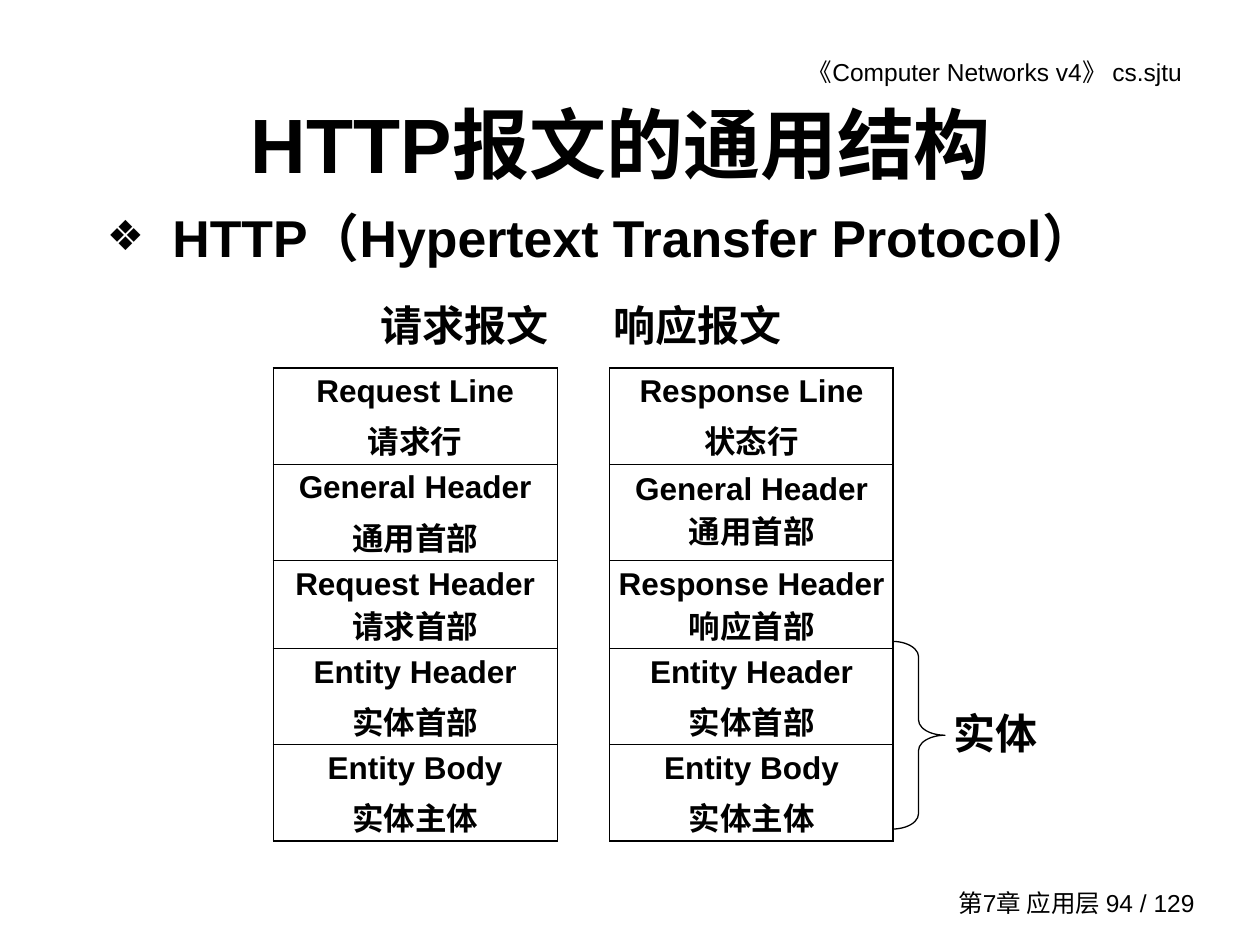
from dataclasses import dataclass

from lxml import etree
from pptx import Presentation
from pptx.dml.color import RGBColor
from pptx.enum import shapes, text
from pptx.oxml import ns
from pptx.util import Inches, Pt


@dataclass(frozen=True)
class Theme:
    ink: RGBColor = RGBColor(0, 0, 0)
    latin: str = "Arial"
    chinese: str = "Noto Sans CJK SC"
    title: float = 44
    body: float = 29.6
    label: float = 24
    cell: float = 18
    small: float = 14
    outer: float = 1.08
    inner: float = 0.45
    brace: float = 0.75


THEME = Theme()
ALIGN = text.PP_ALIGN
PLAIN_TABLE = "{2D5ABB26-0587-4C30-8999-92F81FD0307C}"

# Request part, response part, and the space between their two lines
MESSAGE_PARTS = [
    (("Request Line", "请求行", 4.5), ("Response Line", "状态行", 4.5)),
    (("General Header", "通用首部", 4.5), ("General Header", "通用首部", 0)),
    (("Request Header", "请求首部", 0), ("Response Header", "响应首部", 0)),
    (("Entity Header", "实体首部", 4.5), ("Entity Header", "实体首部", 4.5)),
    (("Entity Body", "实体主体", 4.5), ("Entity Body", "实体主体", 4.5)),
]
ROW_HEIGHTS = [0.75, 0.75, 0.68, 0.75, 0.75]
COLUMN_WIDTHS = [2.25, 0.42, 2.25]


def add_xml(parent, tag, **attributes):
    return etree.SubElement(parent, ns.qn(tag), attributes)


def style(paragraph, size, bold=True, latin=THEME.latin):
    font = paragraph.font
    font.size, font.bold, font.name = Pt(size), bold, latin
    font.color.rgb = THEME.ink
    add_xml(font._element, "a:ea", typeface=THEME.chinese)


def add_text(slide, box, words, size, align=ALIGN.LEFT, bold=True,
             anchor=text.MSO_ANCHOR.TOP, latin=THEME.latin):
    """Place one line of text and return its frame."""
    frame = slide.shapes.add_textbox(*map(Inches, box)).text_frame
    frame.word_wrap = True
    frame.vertical_anchor = anchor
    line = frame.paragraphs[0]
    line.text, line.alignment = words, align
    style(line, size, bold, latin)
    return frame


def add_running_header(slide, box):
    frame = add_text(slide, box, "《Computer Networks v4》 cs.sjtu",
                     THEME.small, ALIGN.RIGHT, bold=False)
    frame.margin_right = Inches(0.21)


def add_footer(slide, box):
    add_text(slide, box, "第7章 应用层 94 / 129", THEME.small, ALIGN.RIGHT,
             bold=False, anchor=text.MSO_ANCHOR.MIDDLE)


def add_title(slide, box):
    add_text(slide, box, "HTTP报文的通用结构 ", THEME.title, ALIGN.CENTER,
             anchor=text.MSO_ANCHOR.MIDDLE)


def add_bullet_line(slide, box):
    frame = slide.shapes.add_textbox(*map(Inches, box)).text_frame
    frame.word_wrap = True
    line = frame.paragraphs[0]
    line.text = "HTTP（Hypertext Transfer Protocol）"
    properties = line._p.get_or_add_pPr()
    indent = Inches(0.52)
    properties.set("marL", str(indent))
    properties.set("indent", str(-indent))
    add_xml(properties, "a:buSzPct", val="80000")
    add_xml(properties, "a:buFont", typeface=THEME.latin)
    add_xml(properties, "a:buChar", char="❖")
    style(line, THEME.body)


def add_message_headings(slide, box):
    """Two headings on one line, the second at a tab stop."""
    frame = add_text(slide, box, "", THEME.label)
    frame.margin_left = Inches(0.8)
    line = frame.paragraphs[0]
    line.text = "请求报文\t响应报文"
    properties = line._p.get_or_add_pPr()
    stops = etree.Element(ns.qn("a:tabLst"))
    add_xml(stops, "a:tab", pos=str(Inches(1.85)), algn="l")
    properties.insert(0, stops)
    line.font.name = THEME.chinese


def set_borders(cell, widths):
    """Draw the sides given as left, right, top, bottom; None hides one."""
    properties = cell._tc.get_or_add_tcPr()
    for position, (side, width) in enumerate(zip("LRTB", widths)):
        border = etree.Element(ns.qn(f"a:ln{side}"))
        if width is None:
            add_xml(border, "a:noFill")
        else:
            border.set("w", str(Pt(width)))
            fill = add_xml(border, "a:solidFill")
            add_xml(fill, "a:srgbClr", val=str(THEME.ink))
        properties.insert(position, border)


def fill_cell(cell, english, chinese, gap):
    cell.vertical_anchor = text.MSO_ANCHOR.MIDDLE
    cell.margin_left = cell.margin_right = Inches(0.04)
    frame = cell.text_frame
    frame.text = f"{english}\n{chinese}"
    for line in frame.paragraphs:
        line.alignment = ALIGN.CENTER
        style(line, THEME.cell)
    if gap:
        frame.paragraphs[1].space_before = Pt(gap)


def add_message_table(slide, box):
    table_frame = slide.shapes.add_table(
        len(ROW_HEIGHTS), len(COLUMN_WIDTHS), *map(Inches, box))
    table = table_frame.table
    table.first_row = table.horz_banding = False
    table._tbl.tblPr.find(ns.qn("a:tableStyleId")).text = PLAIN_TABLE
    for column, width in zip(table.columns, COLUMN_WIDTHS):
        column.width = Inches(width)
    last = len(MESSAGE_PARTS) - 1
    for index, (request, response) in enumerate(MESSAGE_PARTS):
        table.rows[index].height = Inches(ROW_HEIGHTS[index])
        request_cell, gap_cell, response_cell = table.rows[index].cells
        fill_cell(request_cell, *request)
        fill_cell(response_cell, *response)
        top = THEME.outer if index == 0 else THEME.inner
        bottom = THEME.outer if index == last else THEME.inner
        for cell, borders in (
            (request_cell, (THEME.outer, THEME.inner, top, bottom)),
            (gap_cell, (THEME.inner, THEME.inner, None, None)),
            (response_cell, (THEME.inner, THEME.outer, top, bottom)),
        ):
            cell.fill.background()
            set_borders(cell, borders)


def add_entity_brace(slide, box):
    brace = slide.shapes.add_shape(
        shapes.MSO_SHAPE.RIGHT_BRACE, *map(Inches, box))
    brace.adjustments[0] = 0.29
    brace.shadow.inherit = False
    brace.fill.background()
    brace.line.color.rgb = THEME.ink
    brace.line.width = Pt(THEME.brace)


def main():
    deck = Presentation()
    deck.slide_width, deck.slide_height = Inches(10), Inches(7.5)
    slide = deck.slides.add_slide(deck.slide_layouts[6])
    add_running_header(slide, (5.28, 0.4, 4.31, 0.34))
    add_footer(slide, (7.32, 7, 2.26, 0.33))
    add_title(slide, (0.75, 0.67, 8.5, 0.92))
    add_bullet_line(slide, (0.75, 1.58, 8.74, 0.75))
    add_message_table(slide, (2.17, 2.92, 4.92, 3.68))
    add_text(slide, (7.47, 5.57, 0.92, 0.5), "实体", THEME.label)
    add_message_headings(slide, (2.22, 2.33, 4.78, 0.5))
    add_entity_brace(slide, (7.08, 5.09, 0.42, 1.49))
    deck.save("out.pptx")


if __name__ == "__main__":
    main()
